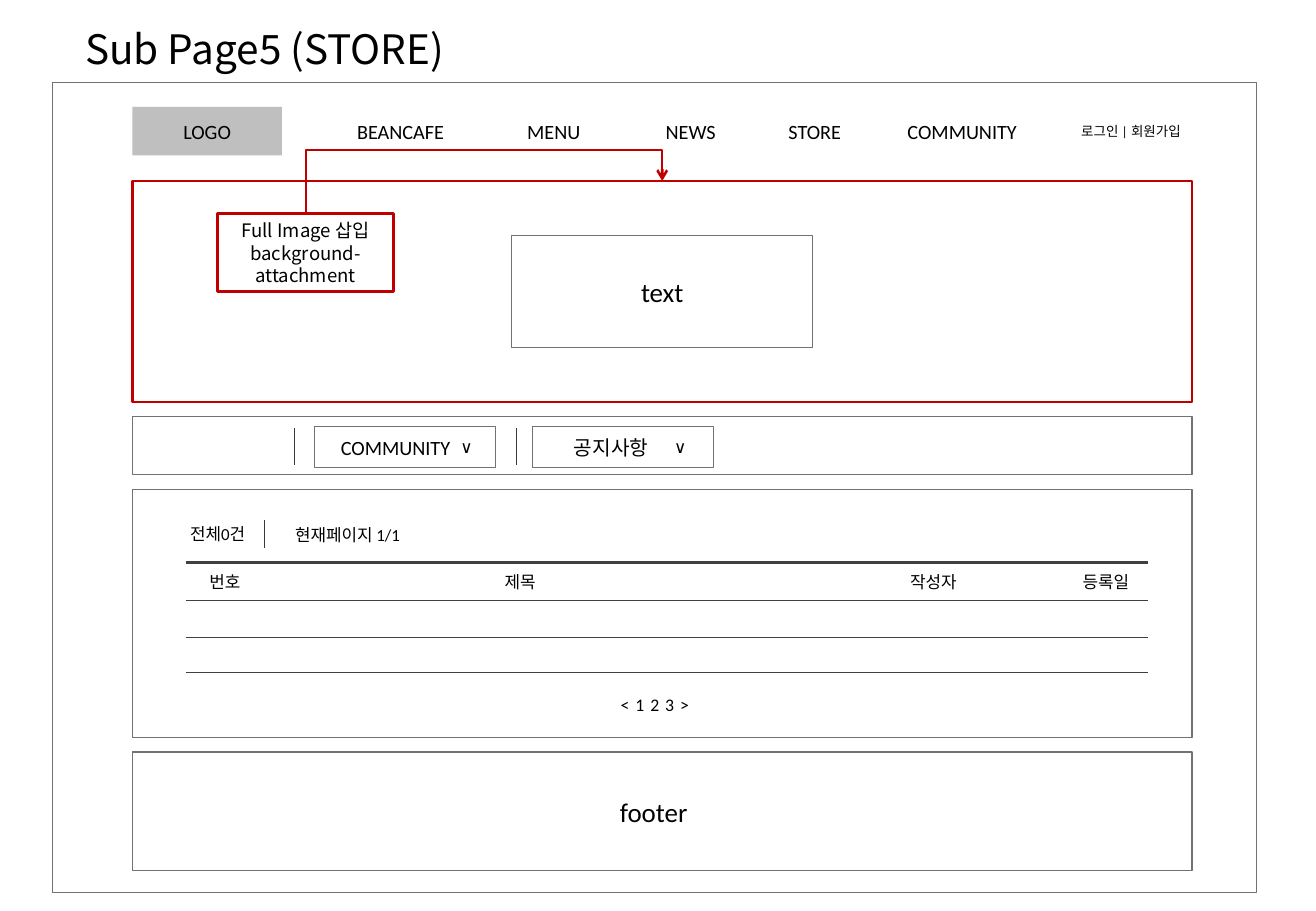
from pptx import Presentation
from pptx.dml.color import RGBColor
from pptx.enum.shapes import MSO_CONNECTOR, MSO_SHAPE
from pptx.enum.text import MSO_ANCHOR, MSO_AUTO_SIZE, PP_ALIGN
from pptx.oxml.ns import qn
from pptx.util import Inches, Pt
from lxml.etree import SubElement

COLORS = {
    "text": "000000",
    "frame": "767171",
    "logo": "BFBFBF",
    "accent": "C00000",
    "divider": "3B3838",
    "rule": "404040",
}
LATIN = "Calibri"
KOREAN = "Noto Sans CJK KR"


class Wireframe:
    def __init__(self, slide):
        self.slide = slide

    def color(self, name):
        return RGBColor.from_string(COLORS[name])

    def add_text(self, shape, lines, size, font=LATIN, align=PP_ALIGN.CENTER,
                 wrap=True, leading=None, tracking=None):
        frame = shape.text_frame
        frame.word_wrap = wrap
        frame.auto_size = MSO_AUTO_SIZE.NONE
        frame.vertical_anchor = MSO_ANCHOR.MIDDLE
        for index, line in enumerate(lines):
            paragraph = frame.add_paragraph() if index else frame.paragraphs[0]
            paragraph.alignment = align
            if leading:
                paragraph.line_spacing = Pt(leading)
            run = paragraph.add_run()
            run.text = line
            run.font.size = Pt(size)
            run.font.name = font
            run.font.color.rgb = self.color("text")
            properties = run.font._element
            SubElement(properties, qn("a:ea")).set("typeface", KOREAN)
            if tracking:
                properties.set("spc", str(tracking))

    def title(self, text, left, top, width, height):
        title = self.slide.shapes.title
        title.left, title.top = Inches(left), Inches(top)
        title.width, title.height = Inches(width), Inches(height)
        self.add_text(title, [text], 24, KOREAN, PP_ALIGN.LEFT, wrap=False)

    def label(self, text, left, top, width, height, size, **style):
        label = self.slide.shapes.add_textbox(
            Inches(left), Inches(top), Inches(width), Inches(height))
        self.add_text(label, [text], size, **style)

    def box(self, left, top, width, height, line="frame", weight=0.75,
            fill=None, lines=(), size=12, **style):
        box = self.slide.shapes.add_shape(
            MSO_SHAPE.RECTANGLE,
            Inches(left), Inches(top), Inches(width), Inches(height))
        box.shadow.inherit = False
        if fill:
            box.fill.solid()
            box.fill.fore_color.rgb = self.color(fill)
        else:
            box.fill.background()
        if line:
            box.line.color.rgb = self.color(line)
            box.line.width = Pt(weight)
        else:
            box.line.fill.background()
        self.add_text(box, lines, size, **style)

    def line(self, start, end, color, weight=0.5, kind=MSO_CONNECTOR.STRAIGHT):
        line = self.slide.shapes.add_connector(
            kind, *(Inches(value) for value in (*start, *end)))
        line.line.color.rgb = self.color(color)
        line.line.width = Pt(weight)
        SubElement(line._element.spPr, qn("a:effectLst"))
        return line

    def bent_arrow(self, start, end, color, weight, bend):
        arrow = self.line(start, end, color, weight, MSO_CONNECTOR.ELBOW)
        properties = arrow._element.spPr
        properties.find(qn("a:xfrm")).set("rot", "5400000")
        adjustments = properties.find(qn("a:prstGeom")).find(qn("a:avLst"))
        guide = SubElement(adjustments, qn("a:gd"))
        guide.set("name", "adj1")
        guide.set("fmla", f"val {round(bend * 100000)}")
        SubElement(properties.find(qn("a:ln")), qn("a:tailEnd")).set("type", "arrow")


def main():
    presentation = Presentation()
    presentation.slide_width = Inches(10.83)
    presentation.slide_height = Inches(7.5)
    page = Wireframe(presentation.slides.add_slide(presentation.slide_layouts[5]))

    page.title("Sub Page5 (STORE)", 0.6, 0.15, 3.16, 0.5)
    page.box(0.43, 0.68, 9.91, 6.67)

    page.box(1.09, 0.88, 1.23, 0.4, line=None, fill="logo", lines=["LOGO"])
    menu = [("BEANCAFE", 2.84), ("MENU", 4.24), ("NEWS", 5.38),
            ("STORE", 6.39), ("COMMUNITY", 7.37)]
    for name, left in menu:
        page.label(name, left, 0.93, 1.16, 0.3, 12, align=PP_ALIGN.LEFT)
    page.label("로그인 | 회원가입", 8.8, 0.96, 1.2, 0.24, 8, align=PP_ALIGN.LEFT)

    page.bent_arrow((4.12, 3.09), (3.85, 0.16), "accent", 1.5, 1.94)
    page.box(1.09, 1.49, 8.72, 1.82, "accent", 1.5)
    page.box(1.79, 1.76, 1.45, 0.64, "accent", 1.5,
             lines=["Full Image 삽입", "background-attachment"],
             size=11, font=KOREAN, leading=13.3)
    page.box(4.21, 1.94, 2.48, 0.92, lines=["text"], size=16)

    for top, height in [(3.43, 0.48), (4.03, 2.04), (6.19, 0.98)]:
        page.box(1.09, top, 8.72, height)

    dropdowns = [("COMMUNITY", 2.42, 2.59, 2.7, 1.11, 3.69),
                 ("공지사항", 4.25, 4.38, 4.59, 0.88, 5.45)]
    for name, divider, frame, left, width, chevron in dropdowns:
        page.line((divider, 3.52), (divider, 3.83), "divider")
        page.box(frame, 3.51, 1.49, 0.34)
        page.label(name, left, 3.53, width, 0.3, 12, wrap=False)
        page.label("∨", chevron, 3.54, 0.51, 0.27, 10, align=PP_ALIGN.LEFT)

    page.label("전체0건", 1.33, 4.23, 0.92, 0.32, 10)
    page.line((2.18, 4.28), (2.18, 4.51), "divider")
    page.label("현재페이지 1/1", 2.13, 4.31, 1.46, 0.19, 10)

    for top, weight in [(4.63, 1.5), (4.94, 0.5), (5.25, 0.5), (5.54, 0.5)]:
        page.line((1.53, top), (9.45, top), "rule", weight)
    columns = [("번호", 1.39), ("제목", 3.82), ("작성자", 7.22), ("등록일", 8.64)]
    for heading, left in columns:
        page.label(heading, left, 4.63, 0.92, 0.32, 10)
    page.label("< 1 2 3 >", 5.01, 5.66, 0.81, 0.28, 10.5,
               align=PP_ALIGN.LEFT, wrap=False, tracking=60)

    page.label("footer", 4.14, 6.22, 2.48, 0.92, 16)

    presentation.save("out.pptx")


if __name__ == "__main__":
    main()
